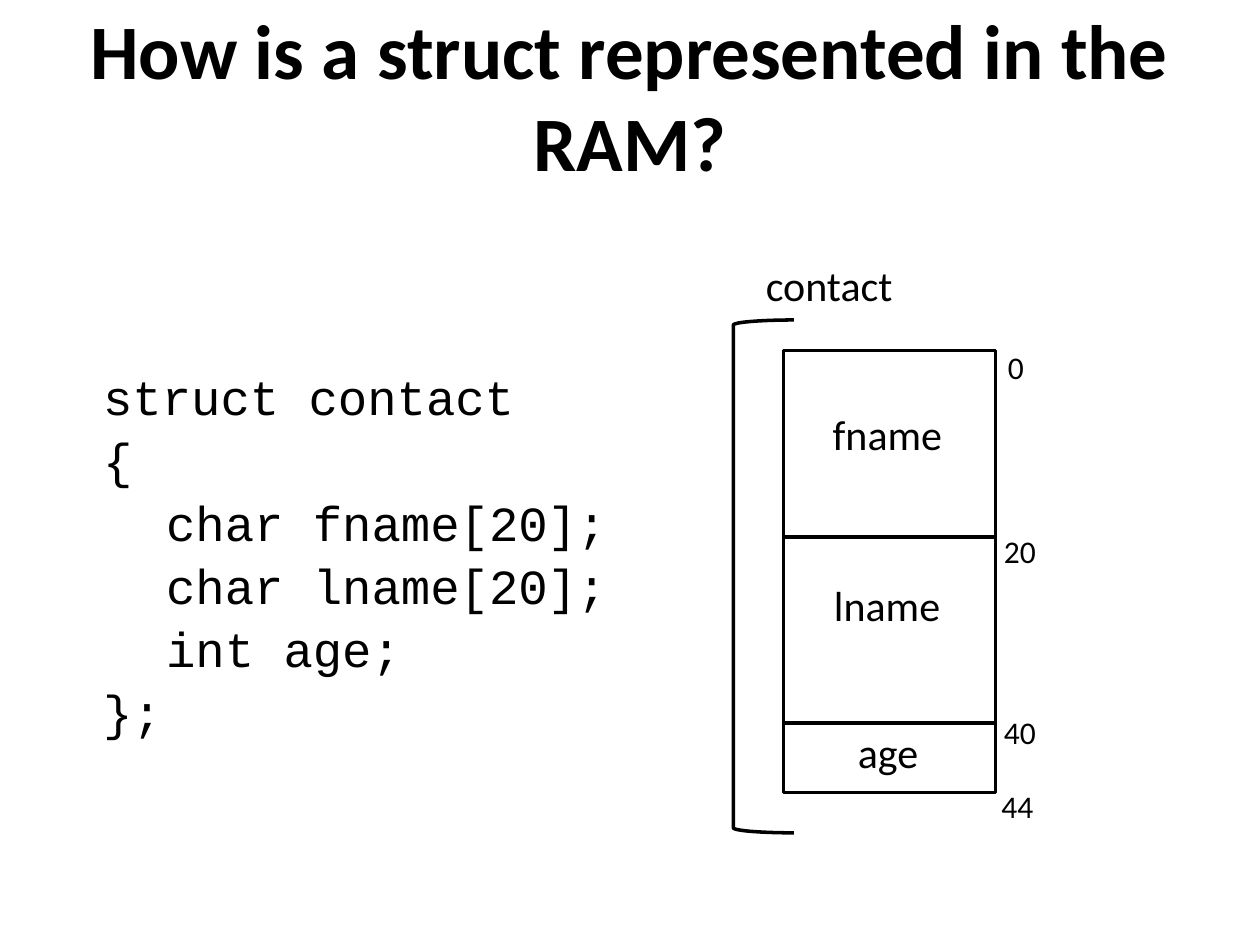
from pptx import Presentation
from pptx.dml.color import RGBColor
from pptx.enum import shapes, text
from pptx.oxml.ns import qn
from pptx.util import Inches, Pt
from lxml import etree

INK = {"black": "000000"}
BLACK = RGBColor.from_string(INK["black"])
CODE = ["struct contact", "{", "\tchar fname[20];", "\tchar lname[20];",
        "\tint age;", "};"]
# name, height, label left, label top, label width, offset mark,
# mark left, mark top, mark width
FIELDS = [
    ("fname", 1.48, 0.29, 0.41, 1.08, "0", 1.68, -0.07, 0.33),
    ("lname", 1.48, 0.30, 0.29, 1.05, "20", 1.65, -0.09, 0.46),
    ("age", 0.55, 0.49, -0.02, 0.69, "40", 1.65, -0.13, 0.46),
]


def style(para, size, face="Calibri", bold=False):
    font = para.font
    font.name, font.size, font.bold = face, Pt(size), bold
    font.color.rgb = BLACK


def add_label(slide, words, x, y, w, size):
    """Add a one-line text box; 18 pt and 24 pt lines set its height."""
    high = 0.4 if size == 18 else 0.5
    box = slide.shapes.add_textbox(Inches(x), Inches(y), Inches(w), Inches(high))
    frame = box.text_frame
    frame.word_wrap = False
    frame.auto_size = text.MSO_AUTO_SIZE.SHAPE_TO_FIT_TEXT
    frame.text = words
    style(frame.paragraphs[0], size)


def add_frame(slide, kind, x, y, w, h):
    """Add an unfilled shape with a black outline."""
    shape = slide.shapes.add_shape(
        kind, Inches(x), Inches(y), Inches(w), Inches(h))
    shape.shadow.inherit = False
    shape.fill.background()
    shape.line.color.rgb = BLACK
    shape.line.width = Pt(2)


def set_title(slide, x, y, w, h):
    title = slide.shapes.title
    title.left, title.top = Inches(x), Inches(y)
    title.width, title.height = Inches(w), Inches(h)
    frame = title.text_frame
    frame.text = "How is a struct represented in the RAM?"
    frame.auto_size = text.MSO_AUTO_SIZE.NONE
    frame.vertical_anchor = text.MSO_ANCHOR.MIDDLE
    para = frame.paragraphs[0]
    para.alignment = text.PP_ALIGN.CENTER
    style(para, 44, bold=True)


def add_code(slide, x, y, w, h):
    box = slide.shapes.add_textbox(Inches(x), Inches(y), Inches(w), Inches(h))
    frame = box.text_frame
    frame.word_wrap = True
    frame.margin_top = Inches(0.13)
    for i, line in enumerate(CODE):
        para = frame.add_paragraph() if i else frame.paragraphs[0]
        para.text = line
        if i:
            para.space_before = Pt(2.4)
        tabs = etree.SubElement(para._p.get_or_add_pPr(), qn("a:tabLst"))
        etree.SubElement(tabs, qn("a:tab"), pos=str(Inches(0.5)), algn="l")
        style(para, 28, "Courier New")


def add_memory(slide, x, y, w):
    """Stack the fields downwards, with byte offsets on the right."""
    add_label(slide, "contact", x - 0.24, y - 0.77, 1.23, 24)
    add_frame(slide, shapes.MSO_SHAPE.LEFT_BRACKET, x - 0.4, y - 0.24, 0.48, 4.07)
    top = y
    for name, high, dx, dy, wide, mark, mx, my, mw in FIELDS:
        add_frame(slide, shapes.MSO_SHAPE.RECTANGLE, x, top, w, high)
        add_label(slide, name, x + dx, top + dy, wide, 24)
        add_label(slide, mark, x + mx, top + my, mw, 18)
        top += high
    add_label(slide, "44", x + 1.63, top - 0.09, 0.46, 18)


def main():
    deck = Presentation()
    deck.slide_width, deck.slide_height = Inches(10), Inches(7.5)
    slide = deck.slides.add_slide(deck.slide_layouts[5])
    set_title(slide, 0, 0.24, 10, 1.02)
    add_code(slide, 0.72, 2.78, 4.79, 2.96)
    add_memory(slide, 6.22, 2.78, 1.68)
    deck.save("out.pptx")


if __name__ == "__main__":
    main()
